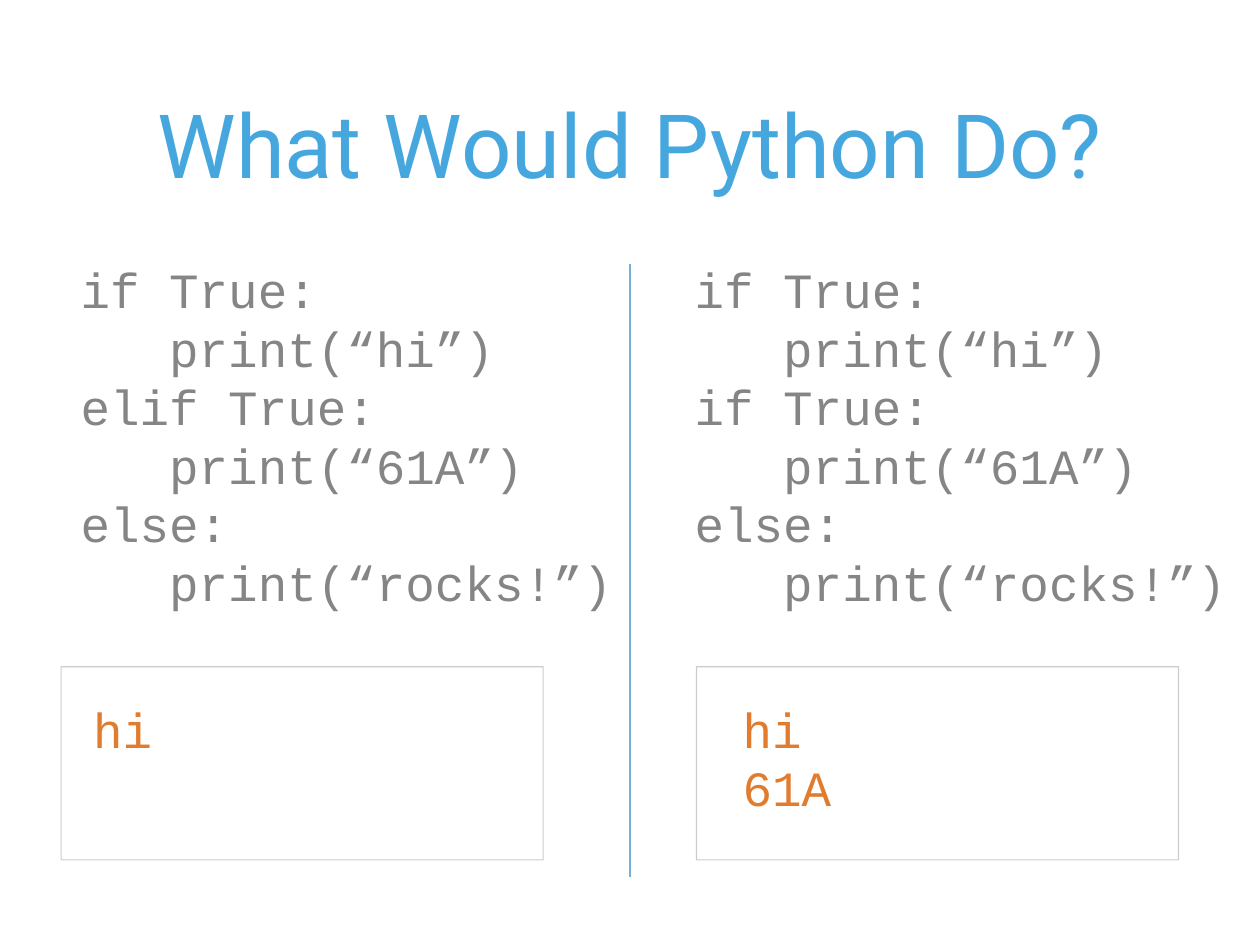
from dataclasses import dataclass
from lxml.etree import SubElement
from pptx import Presentation
from pptx.dml.color import RGBColor
from pptx.enum.shapes import MSO_CONNECTOR as Connector, MSO_SHAPE as Shape
from pptx.enum.text import MSO_ANCHOR as Anchor, PP_ALIGN as Align
from pptx.oxml.ns import qn
from pptx.util import Emu, Pt

SCALE = 9144


def px(n):
    return Emu(n * SCALE)


@dataclass(frozen=True)
class Theme:
    title_color: str = "45A7DE"
    code_color: str = "858585"
    output_color: str = "E17B2E"
    divider_color: str = "75B1D4"
    frame_color: str = "000000"
    frame_alpha: int = 20
    title_font: str = "Roboto"
    code_font: str = "Courier New"
    title_size: int = 72
    code_size: int = 40
    code_leading: float = 47.6
    divider_width: int = 2
    frame_width: int = 1


class SlideBuilder:
    def __init__(self, slide, theme):
        self.slide = slide
        self.theme = theme

    def text(self, box, lines, font, size, color, frame, paragraph):
        tf = self.slide.shapes.add_textbox(*map(px, box)).text_frame
        for name, value in frame.items():
            setattr(tf, name, value)
        for i, line in enumerate(lines):
            p = tf.add_paragraph() if i else tf.paragraphs[0]
            for name, value in paragraph.items():
                setattr(p, name, value)
            r = p.add_run()
            r.text = line
            for name, value in {"name": font, "size": Pt(size)}.items():
                setattr(r.font, name, value)
            r.font.color.rgb = RGBColor.from_string(color)

    def title(self, box, text):
        t = self.theme
        frame = {"word_wrap": True, "vertical_anchor": Anchor.MIDDLE,
                 "margin_left": px(6), "margin_right": px(6),
                 "margin_top": px(6), "margin_bottom": px(6)}
        self.text(box, [text], t.title_font, t.title_size, t.title_color,
                  frame, {"alignment": Align.CENTER})

    def code(self, box, lines, color):
        t = self.theme
        frame = {"word_wrap": False, "vertical_anchor": Anchor.TOP,
                 "margin_left": px(6), "margin_right": px(0),
                 "margin_top": px(7), "margin_bottom": px(0)}
        self.text(box, lines, t.code_font, t.code_size, color, frame,
                  {"alignment": Align.LEFT, "line_spacing": Pt(t.code_leading)})

    def divider(self, x, top, bottom):
        t = self.theme
        c = self.slide.shapes.add_connector(
            Connector.STRAIGHT, px(x), px(bottom), px(x), px(top))
        c.line.color.rgb = RGBColor.from_string(t.divider_color)
        c.line.width = Pt(t.divider_width)
        SubElement(c._element.spPr, qn("a:effectLst"))

    def frame(self, box):
        t = self.theme
        sp = self.slide.shapes.add_shape(Shape.RECTANGLE, *map(px, box))
        sp.shadow.inherit = False
        sp.fill.background()
        sp.line.color.rgb = RGBColor.from_string(t.frame_color)
        sp.line.width = Pt(t.frame_width)
        color = sp._element.spPr.find(".//" + qn("a:ln")).find(".//" + qn("a:srgbClr"))
        SubElement(color, qn("a:alpha"), val=str(t.frame_alpha * 1000))


def program(second_keyword):
    return ["if True:", "   print(“hi”)",
            f"{second_keyword} True:", "   print(“61A”)",
            "else:", "   print(“rocks!”)"]


def main():
    prs = Presentation()
    prs.slide_width, prs.slide_height = px(1422), px(1066)
    theme = Theme()
    s = SlideBuilder(prs.slides.add_slide(prs.slide_layouts[6]), theme)

    s.title((139, 28, 1144, 267), "What Would Python Do?")
    for x, keyword in ((85, "elif"), (778, "if")):
        s.code((x, 286, 611, 411), program(keyword), theme.code_color)
    s.divider(711, 298, 989)
    for x, width, height, output in ((99, 78, 78, ["hi"]),
                                     (832, 111, 144, ["hi", "61A"])):
        s.code((x, 782, width, height), output, theme.output_color)
    for x in (69, 786):
        s.frame((x, 752, 544, 218))

    prs.save("out.pptx")


if __name__ == "__main__":
    main()
